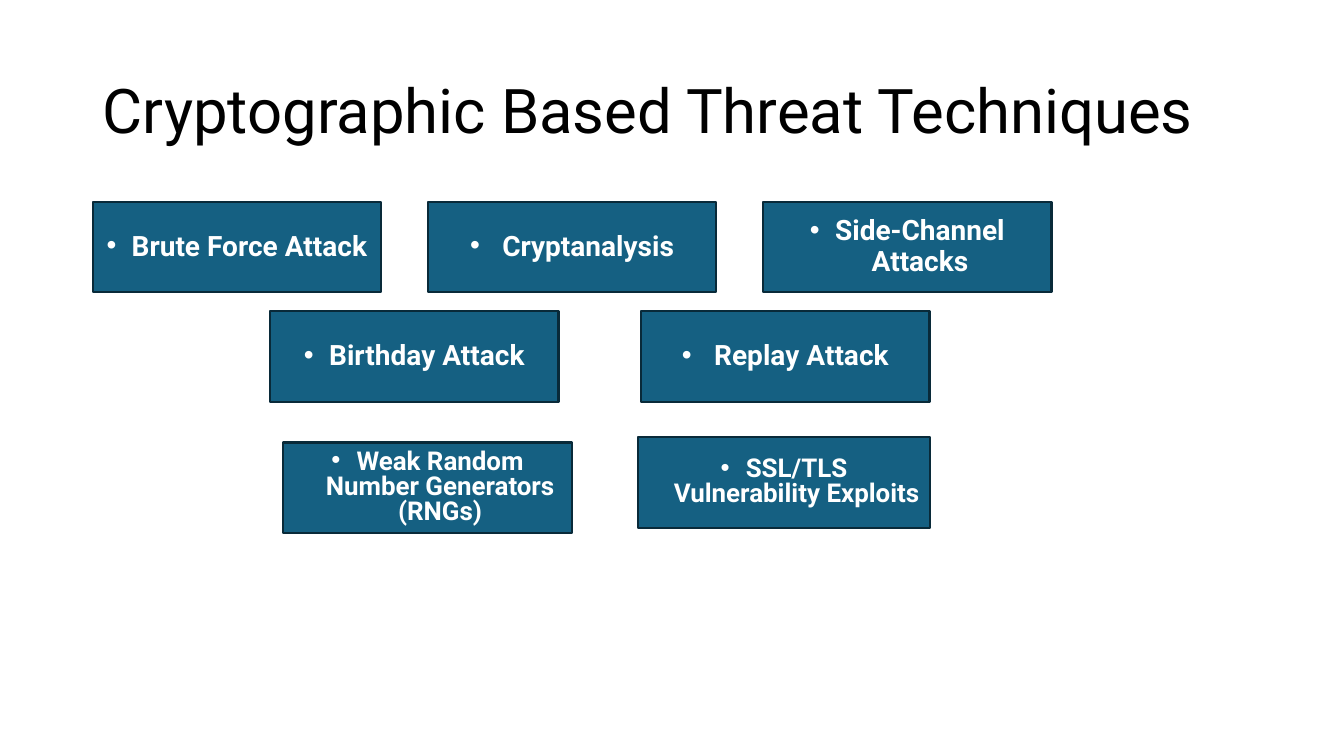
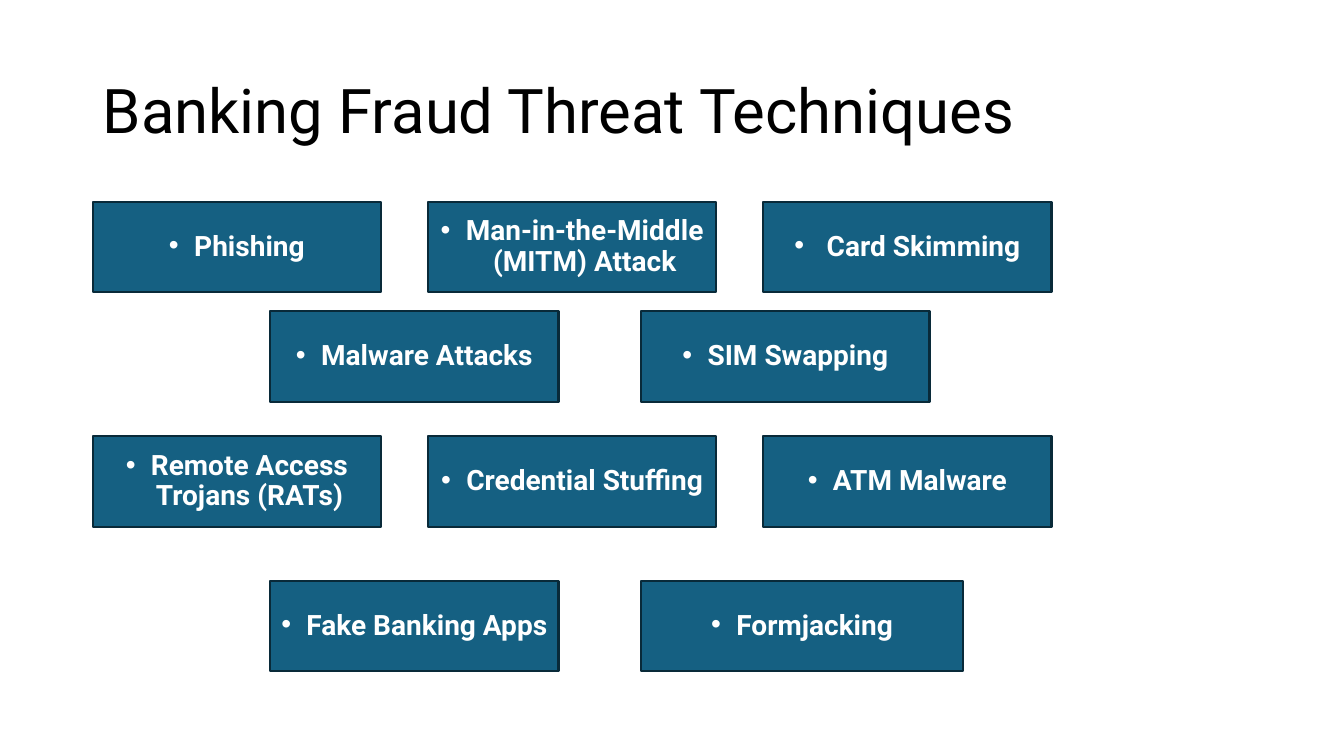
from lxml import etree
from pptx import Presentation
from pptx.dml.color import RGBColor
from pptx.enum.shapes import MSO_SHAPE
from pptx.enum.text import MSO_ANCHOR, PP_ALIGN
from pptx.oxml.ns import qn
from pptx.util import Inches, Pt

RECTANGLE = MSO_SHAPE.RECTANGLE
MIDDLE = MSO_ANCHOR.MIDDLE
CENTER = PP_ALIGN.CENTER

# Shared style
FONT = "Roboto"
BLACK, WHITE = "000000", "FFFFFF"
BOX_FILL, BOX_LINE = "156082", "092A39"
BOX_W, BOX_H = 2.86, 0.9
INDENT, WIDE_INDENT = 0.25, 0.32

# Columns: rows of three are evenly spaced, rows of two sit between them
TRIO = [0.92 + 3.325 * i for i in range(3)]
PAIR = [2.68, 6.36]
ROW_1, ROW_2, ROW_3, ROW_4 = 2, 3.09, 4.33, 5.76


def rgb(color):
    return RGBColor.from_string(color)


def style_text(p, size, color, bold=False, spacing=0.9):
    p.line_spacing = spacing
    for r in p.runs:
        r.font.name = FONT
        r.font.size = Pt(size)
        r.font.bold = bold
        r.font.color.rgb = rgb(color)


def add_bullet(p, indent):
    pPr = p._p.get_or_add_pPr()
    pPr.set("marL", str(Inches(indent)))
    pPr.set("indent", str(-Inches(indent)))
    etree.SubElement(pPr, qn("a:buFont")).set("typeface", "Arial")
    etree.SubElement(pPr, qn("a:buChar")).set("char", "•")


def add_title(s, text):
    tf = s.shapes.add_textbox(Inches(0.92), Inches(0.4),
                              Inches(11.5), Inches(1.45)).text_frame
    tf.word_wrap = True
    tf.vertical_anchor = MIDDLE
    tf.text = text
    style_text(tf.paragraphs[0], 44, BLACK)


def add_box(s, text, left, top, width=BOX_W, size=20, spacing=0.9,
            indent=INDENT):
    sp = s.shapes.add_shape(RECTANGLE, Inches(left), Inches(top),
                            Inches(width), Inches(BOX_H))
    sp.shadow.inherit = False
    sp.fill.solid()
    sp.fill.fore_color.rgb = rgb(BOX_FILL)
    sp.line.color.rgb = rgb(BOX_LINE)
    sp.line.width = Pt(1.5)
    tf = sp.text_frame
    tf.word_wrap = True
    tf.vertical_anchor = MIDDLE
    tf.text = text
    p = tf.paragraphs[0]
    add_bullet(p, indent)
    p.alignment = CENTER
    style_text(p, size, WHITE, True, spacing)


def add_row(s, texts, lefts, top, wide=()):
    """Add a row of boxes; those named in wide have a larger bullet gap."""
    for text, left in zip(texts, lefts):
        add_box(s, text, left, top,
                indent=WIDE_INDENT if text in wide else INDENT)


def add_slide(prs, title):
    s = prs.slides.add_slide(prs.slide_layouts[6])
    add_title(s, title)
    return s


def add_cryptographic_slide(prs):
    s = add_slide(prs, "Cryptographic Based Threat Techniques")
    add_row(s, ["Brute Force Attack", "Cryptanalysis", "Side-Channel Attacks"],
            TRIO, ROW_1, wide=["Cryptanalysis"])
    add_row(s, ["Birthday Attack", "Replay Attack"], PAIR, ROW_2,
            wide=["Replay Attack"])
    # Longer labels in tighter type
    add_box(s, "Weak Random Number Generators (RNGs)", 2.81, 4.39,
            size=18.5, spacing=0.8)
    add_box(s, "SSL/TLS Vulnerability Exploits", 6.33, 4.34, width=2.89,
            size=18.5, spacing=0.8)


def add_banking_slide(prs):
    s = add_slide(prs, "Banking Fraud Threat Techniques")
    add_row(s, ["Phishing", "Man-in-the-Middle (MITM) Attack",
                "Card Skimming"], TRIO, ROW_1, wide=["Card Skimming"])
    add_row(s, ["Malware Attacks", "SIM Swapping"], PAIR, ROW_2)
    add_row(s, ["Remote Access Trojans (RATs)", "Credential Stuffing",
                "ATM Malware"], TRIO, ROW_3)
    add_box(s, "Fake Banking Apps", PAIR[0], ROW_4)
    add_box(s, "Formjacking", PAIR[1], ROW_4, width=3.19)


def main():
    prs = Presentation()
    prs.slide_width, prs.slide_height = Inches(13.33), Inches(7.5)
    add_cryptographic_slide(prs)
    add_banking_slide(prs)
    prs.save("out.pptx")


if __name__ == "__main__":
    main()
